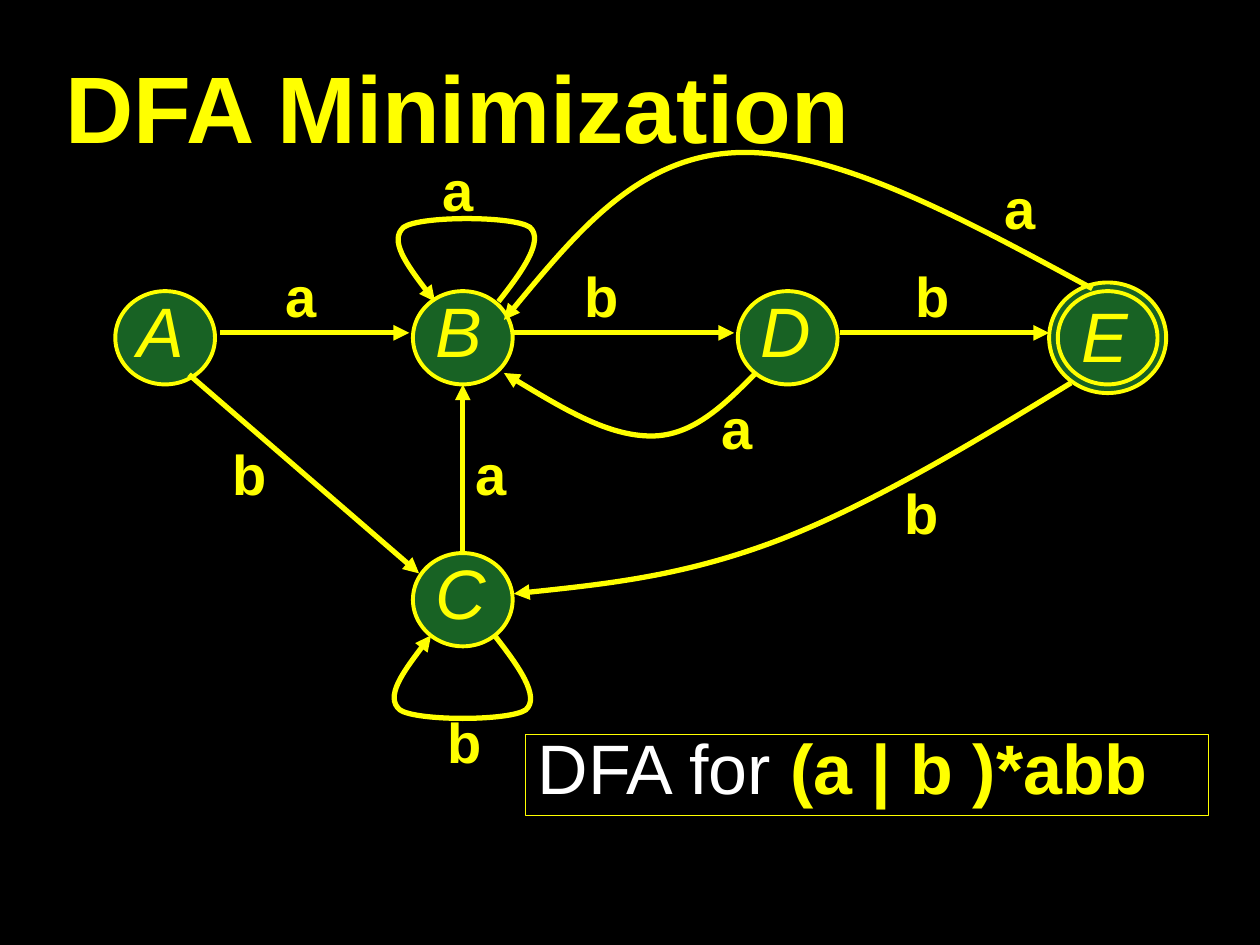
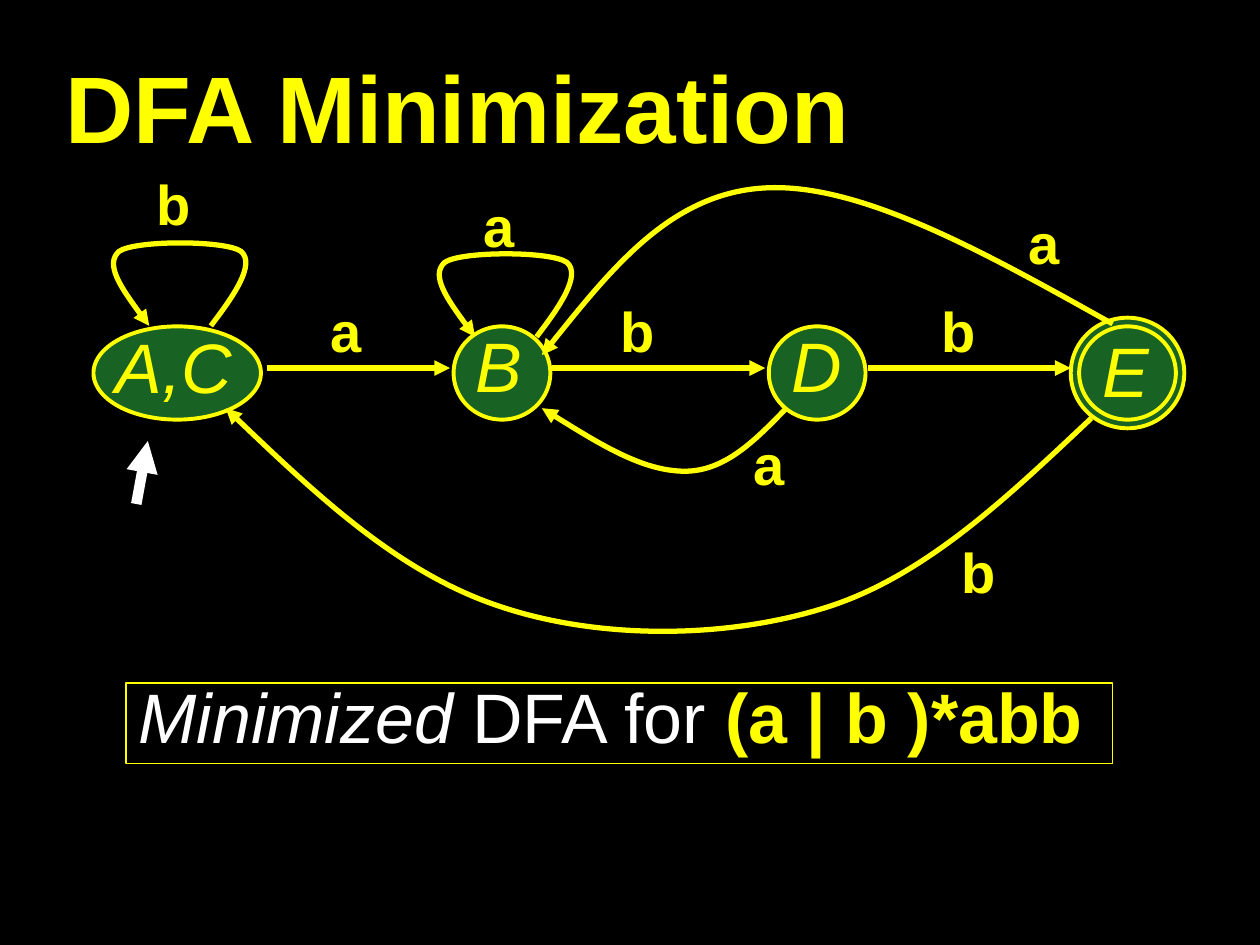
from dataclasses import dataclass
from typing import Any

from lxml.etree import SubElement
from pptx import Presentation
from pptx.dml.color import RGBColor
from pptx.enum.shapes import MSO_CONNECTOR, MSO_SHAPE
from pptx.enum.text import MSO_ANCHOR, PP_ALIGN
from pptx.oxml.ns import qn
from pptx.util import Cm, Pt

COLORS = {"ground": "000000", "accent": "FFFF00", "state": "186224", "plain": "FFFFFF",
          "shade": "DDDDDD"}
FONT = "Arial"
STATE_HEIGHT = 1.88
RING = 0.35
ARROW_Y = -0.1

LOOP_SIDE = [(0.64, 0), (1.12, 0.61), (1.57, 1.24), (1.27, 1.5), (0.94, 1.73)]
LOOP = LOOP_SIDE + [(-x, y) for x, y in reversed(LOOP_SIDE)]
D_TO_B = [(5.91, 0.71), (5.27, 1.35), (4.64, 1.98), (3.8, 1.98),
          (2.93, 1.98), (1.89, 1.35), (0.83, 0.71)]
E_TO_B = [(12.69, -0.99), (10.07, -2.41), (7.45, -3.84), (5.47, -3.73),
          (3.52, -3.63), (2.17, -1.98), (0.83, -0.36)]
E_TO_C = [(12.26, 0.91), (10.22, 2.16), (8.19, 3.38), (6.34, 4.09),
          (4.46, 4.8), (2.76, 4.98), (1.03, 5.16)]
E_TO_AC = [(12.25, 0.91), (10.52, 2.49), (8.8, 4.09), (6.76, 4.72), (4.69, 5.36),
           (2.05, 5.38), (0, 4.72), (-2.1, 4.06), (-3.93, 2.39), (-5.74, 0.71)]


def rgb(color):
    return RGBColor.from_string(COLORS[color])


def style_run(run, size, color="accent", bold=False, italic=False):
    font = run.font
    font.name, font.size, font.bold, font.italic = FONT, Pt(size), bold, italic
    font.color.rgb = rgb(color)


def set_line(line, width, color="accent"):
    line.color.rgb = rgb(color)
    line.width = Pt(width)


def add_arrowhead(edge):
    SubElement(edge.line._get_or_add_ln(), qn("a:tailEnd"), type="triangle")


@dataclass
class Automaton:
    """Diagram measured in centimetres from the centre of state B."""
    slide: Any
    left: float
    top: float
    stretch: float = 1

    def at(self, x, y):
        return Cm(self.left + x * self.stretch), Cm(self.top + y)

    def text(self, words, x, y, width, height, size, **look):
        box = self.slide.shapes.add_textbox(*self.at(x, y), Cm(width * self.stretch), Cm(height))
        box.text_frame.word_wrap = True
        paragraph = box.text_frame.paragraphs[0]
        paragraph.text = words
        paragraph.line_spacing = 0.8
        style_run(paragraph.runs[0], size, **look)

    def label(self, symbol, x, y):
        self.text(symbol, x, y, 1.6, 1.35, 32, bold=True)

    def ellipse(self, x, y, width, height):
        oval = self.slide.shapes.add_shape(
            MSO_SHAPE.OVAL, *self.at(x - width / 2, y - height / 2),
            Cm(width * self.stretch), Cm(height))
        oval.shadow.inherit = False
        oval.fill.solid()
        oval.fill.fore_color.rgb = rgb("state")
        set_line(oval.line, 2.25)

    def state(self, name, x, y=0, width=2.01, accepting=False, dx=-0.8, dy=-0.81, room=1.35):
        if accepting:
            self.ellipse(x, y, width + RING, STATE_HEIGHT + RING)
        self.ellipse(x, y, width, STATE_HEIGHT)
        self.text(name, x + dx, y + dy, room, 1.63, 40, italic=True)

    def arrow(self, start, end, width=3, color="accent"):
        edge = self.slide.shapes.add_connector(
            MSO_CONNECTOR.STRAIGHT, *self.at(*start), *self.at(*end))
        set_line(edge.line, width, color)
        add_arrowhead(edge)
        SubElement(edge._element.spPr, qn("a:effectLst"))

    def curve(self, points):
        start, *rest = [self.at(*point) for point in points]
        builder = self.slide.shapes.build_freeform(*start)
        builder.add_line_segments(rest, close=False)
        edge = builder.convert_to_shape()
        steps = list(edge._element.iter(qn("a:lnTo")))
        for first in range(0, len(steps), 3):
            bezier = SubElement(steps[first].getparent(), qn("a:cubicBezTo"))
            for step in steps[first:first + 3]:
                bezier.append(step[0])
                step.getparent().remove(step)
        edge.shadow.inherit = False
        edge.fill.background()
        set_line(edge.line, 3)
        add_arrowhead(edge)

    def loop(self, x, y, direction=-1):
        self.curve([(x + dx, y + direction * dy) for dx, dy in LOOP])

    def shared_part(self):
        self.state("B", 0)
        self.state("D", 6.55)
        self.state("E", 13, accepting=True, dx=-0.78, dy=-0.71, room=1.47)
        for start, end in [(-4.89, -1.08), (1.03, 5.47), (7.61, 11.82)]:
            self.arrow((start, ARROW_Y), (end, ARROW_Y))
        self.loop(0.08, -0.73)
        self.curve(D_TO_B)
        self.curve(E_TO_B)
        for symbol, x, y in [("a", -0.65, -3.53), ("a", -3.82, -1.4), ("b", 2.2, -1.4),
                             ("b", 8.88, -1.4), ("a", 4.97, 1.27), ("a", 10.68, -3.18)]:
            self.label(symbol, x, y)


def add_caption(slide, left, top, width, parts):
    caption = slide.shapes.add_shape(MSO_SHAPE.RECTANGLE, Cm(left), Cm(top), Cm(width), Cm(1.63))
    caption.shadow.inherit = False
    caption.fill.background()
    set_line(caption.line, 0.75)
    frame = caption.text_frame
    frame.word_wrap = True
    frame.vertical_anchor = MSO_ANCHOR.TOP
    paragraph = frame.paragraphs[0]
    paragraph.alignment = PP_ALIGN.LEFT
    paragraph.line_spacing = 0.8
    for words, look in parts + [("(a | b )*abb", {"bold": True})]:
        run = paragraph.add_run()
        run.text = words
        style_run(run, 40, **look)


def prepare_layout(prs):
    background = prs.slide_master.background.fill
    background.solid()
    background.fore_color.rgb = rgb("ground")
    layout = prs.slide_layouts[5]
    title = layout.placeholders[0]
    title.left, title.top, title.width, title.height = Cm(1.07), Cm(1.07), Cm(24.56), Cm(2.11)
    title.text_frame.vertical_anchor = MSO_ANCHOR.MIDDLE
    return layout


def add_titled_slide(prs, layout):
    slide = prs.slides.add_slide(layout)
    paragraph = slide.shapes.title.text_frame.paragraphs[0]
    paragraph.text = "DFA Minimization"
    paragraph.alignment = PP_ALIGN.LEFT
    run = paragraph.runs[0]
    style_run(run, 54, bold=True)
    properties = run.font._element
    effects = SubElement(properties, qn("a:effectLst"))
    properties.find(qn("a:solidFill")).addnext(effects)
    shadow = SubElement(effects, qn("a:outerShdw"), dist="35921", dir="2700000")
    SubElement(shadow, qn("a:srgbClr"), val=COLORS["shade"])
    return slide


def build_full_dfa(slide):
    add_caption(slide, 10.59, 14.81, 13.77, [("DFA for ", {"color": "plain"})])
    dfa = Automaton(slide, 9.33, 6.81)
    dfa.state("A", -6)
    dfa.state("C", 0, 5.28)
    dfa.shared_part()
    dfa.arrow((-5.52, 0.74), (-0.88, 4.75))
    dfa.arrow((0, 4.34), (0, 0.94))
    dfa.loop(0, 6, direction=1)
    dfa.curve(E_TO_C)
    for symbol, x, y in [("b", -4.89, 2.18), ("a", 0, 2.18), ("b", -0.55, 7.59), ("b", 8.65, 2.97)]:
        dfa.label(symbol, x, y)


def build_minimized_dfa(slide):
    add_caption(slide, 2.54, 13.77, 19.89, [("Minimized", {"color": "plain", "italic": True}),
                                            (" DFA for ", {"color": "plain"})])
    dfa = Automaton(slide, 10.12, 7.52, stretch=0.97)
    dfa.state("A,C", -6.75, width=3.48, dx=-1.53, dy=-0.79, room=3.16)
    dfa.shared_part()
    dfa.loop(-6.69, -0.95)
    dfa.curve(E_TO_AC)
    dfa.label("b", -7.44, -3.96)
    dfa.label("b", 9.29, 3.45)
    dfa.arrow((-7.6, 2.64), (-7.36, 1.37), width=6, color="plain")


def main():
    prs = Presentation()
    prs.slide_width, prs.slide_height = Cm(25.4), Cm(19.05)
    layout = prepare_layout(prs)
    for build in (build_full_dfa, build_minimized_dfa):
        build(add_titled_slide(prs, layout))
    prs.save("out.pptx")


if __name__ == "__main__":
    main()
